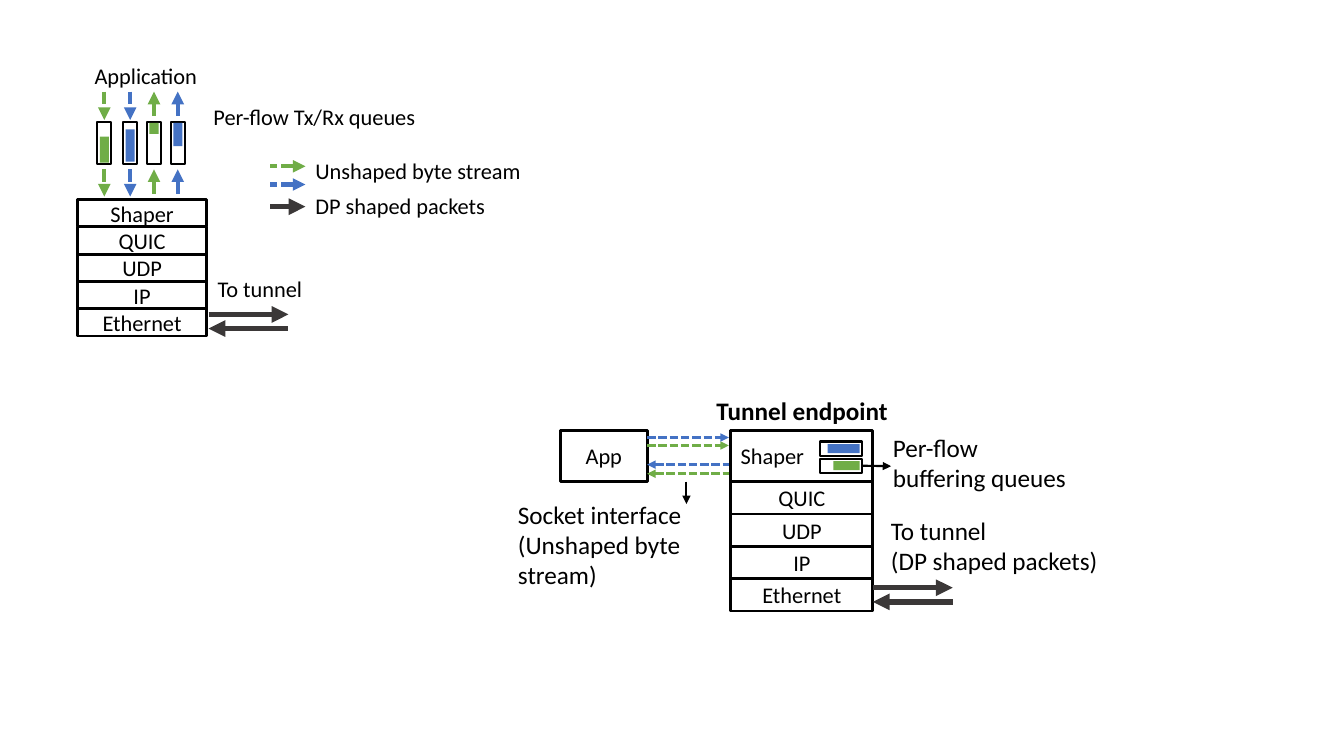
from lxml import etree
from pptx import Presentation
from pptx.dml.color import RGBColor
from pptx.enum.dml import MSO_LINE
from pptx.enum.shapes import MSO_CONNECTOR, MSO_SHAPE
from pptx.enum.text import MSO_ANCHOR, MSO_AUTO_SIZE, PP_ALIGN
from pptx.oxml.ns import qn
from pptx.util import Pt

GREEN = RGBColor(0x70, 0xAD, 0x47)
BLUE = RGBColor(0x44, 0x72, 0xC4)
DARK = RGBColor(0x3B, 0x38, 0x38)
BLACK = RGBColor(0, 0, 0)
RECTANGLE = MSO_SHAPE.RECTANGLE
STRAIGHT = MSO_CONNECTOR.STRAIGHT
DASH = MSO_LINE.SQUARE_DOT
LEFT, CENTER = PP_ALIGN.LEFT, PP_ALIGN.CENTER
RIGHT_SIDE = 3

LAYERS = ["QUIC", "UDP", "IP", "Ethernet"]
QUEUE_LONG, QUEUE_SHORT, FILL_SHORT = 30.2, 10.1, 6.5

# (center x, colour, fill top, fill height, receiving)
HOST_QUEUES = [
    (74.5, GREEN, 97.6, 18.7, False),
    (93, BLUE, 92.5, 23, False),
    (110, GREEN, 87.8, 7.9, True),
    (127, BLUE, 87.8, 16.6, True),
]
HOST_ARROW_ROWS = [(65.5, 85.7), (121, 140.4)]
HOST_LABELS = [
    ("To tunnel", 148.3, 193, 88),
    ("Application", 60.5, 41, 99.5),
    ("Per-flow Tx/Rx queues", 145.4, 70, 184),
    ("Unshaped byte stream", 218.2, 108.7, 180),
    ("DP shaped packets", 218.2, 134, 180),
]
LEGEND_STREAMS = [(GREEN, 118.8), (BLUE, 131.8)]

# (colour, queue top, fill left, fill width)
ENDPOINT_QUEUES = [
    (BLUE, 315.4, 591.1, 23),
    (GREEN, 327.6, 595.4, 18.7),
]
# (colour, y, toward the app)
SOCKET_STREAMS = [
    (GREEN, 318.2, False),
    (BLUE, 312.5, False),
    (GREEN, 338.4, True),
    (BLUE, 331.9, True),
]
ENDPOINT_LABELS = [
    ("To tunnel\n(DP shaped packets)", 629.3, 364.3, 217.4, False),
    ("Per-flow\nbuffering queues", 630.7, 305.3, 206.6, False),
    ("Socket interface (Unshaped byte stream)", 362.9, 352.8, 177.1, False),
    ("Tunnel endpoint", 504.7, 278.6, 160.6, True),
]


def write(frame, text, size=16, bold=False, align=LEFT):
    frame.word_wrap = True
    frame.text = text
    for para in frame.paragraphs:
        para.alignment = align
        for span in para.runs:
            span.font.name = "Calibri"
            span.font.size = Pt(size)
            span.font.bold = bold
            span.font.color.rgb = BLACK


def label(group, text, left, top, width, **style):
    lines = 3 if text.startswith("Socket") else text.count("\n") + 1
    height = 7.2 + lines * style.get("size", 16) * 1.2
    box = group.shapes.add_textbox(Pt(left), Pt(top), Pt(width), Pt(height))
    write(box.text_frame, text, **style)
    box.text_frame.auto_size = MSO_AUTO_SIZE.SHAPE_TO_FIT_TEXT


def block(group, left, top, width, height, fill=None, line=None, text="", align=CENTER):
    box = group.shapes.add_shape(RECTANGLE, Pt(left), Pt(top), Pt(width), Pt(height))
    box.shadow.inherit = False
    if fill is None:
        box.fill.background()
    else:
        box.fill.solid()
        box.fill.fore_color.rgb = fill
    if line is None:
        box.line.fill.background()
    else:
        box.line.color.rgb = BLACK
        box.line.width = Pt(line)
    if text:
        write(box.text_frame, text, align=align)
        box.text_frame.vertical_anchor = MSO_ANCHOR.MIDDLE
    return box


def arrow(group, x1, y1, x2, y2, color, width, dashed=False, at_start=False):
    link = group.shapes.add_connector(STRAIGHT, Pt(x1), Pt(y1), Pt(x2), Pt(y2))
    link.line.color.rgb = color
    link.line.width = Pt(width)
    if dashed:
        link.line.dash_style = DASH
    end = "a:headEnd" if at_start else "a:tailEnd"
    etree.SubElement(link.line._get_or_add_ln(), qn(end), type="triangle")
    etree.SubElement(link._element.spPr, qn("a:effectLst"))
    return link


def stack(group, left, top, width, height, layers):
    for index, name in enumerate(layers):
        block(group, left, top + index * height, width, height, line=2, text=name)


def tunnel_arrows(group, left, top):
    for index in range(2):
        y = top + index * 10.1
        arrow(group, left, y, left + 57, y, DARK, 4, at_start=index == 1)


def draw_host(group):
    for center, color, top, height, receiving in HOST_QUEUES:
        block(group, center - QUEUE_SHORT / 2, 87.1, QUEUE_SHORT, QUEUE_LONG, line=1.5)
        block(group, center - FILL_SHORT / 2, top, FILL_SHORT, height, fill=color)
        for start, end in HOST_ARROW_ROWS:
            arrow(group, center, start, center, end, color, 3, dashed=True, at_start=receiving)
    stack(group, 55.4, 142.6, 92.2, 19.5, ["Shaper"] + LAYERS)
    tunnel_arrows(group, 149, 224.6)
    for color, y in LEGEND_STREAMS:
        arrow(group, 218.2, y, 193, y, color, 3, dashed=True, at_start=True)
    arrow(group, 193, 147.6, 218.2, 147.6, DARK, 4)
    for text, left, top, width in HOST_LABELS:
        label(group, text, left, top, width)


def draw_endpoint(group):
    for color, top, left, width in ENDPOINT_QUEUES:
        queue = block(group, 585.4, top, QUEUE_LONG, QUEUE_SHORT, line=1.5)
        block(group, left, top + 1.8, width, FILL_SHORT, fill=color)
    pointer = arrow(group, 615.6, 332.6, 636.5, 333, BLACK, 1.5)
    pointer.begin_connect(queue, RIGHT_SIDE)
    block(group, 522, 307.5, 101.5, 36.5, line=2, text="Shaper", align=LEFT)
    stack(group, 522, 344, 101.5, 23.1, LAYERS)
    block(group, 400.3, 307.5, 62, 36.5, line=2, text="App")
    for color, y, inbound in SOCKET_STREAMS:
        arrow(group, 462.3, y, 520.6, y, color, 2, dashed=True, at_start=inbound)
    arrow(group, 490.3, 344, 490.3, 360, BLACK, 1.5)
    tunnel_arrows(group, 623.5, 419.8)
    for text, left, top, width, bold in ENDPOINT_LABELS:
        label(group, text, left, top, width, size=18, bold=bold)


def main():
    deck = Presentation()
    deck.slide_width, deck.slide_height = Pt(960), Pt(540)
    page = deck.slides.add_slide(deck.slide_layouts[6])
    for draw in (draw_host, draw_endpoint):
        draw(page.shapes.add_group_shape())
    deck.save("out.pptx")


if __name__ == "__main__":
    main()
